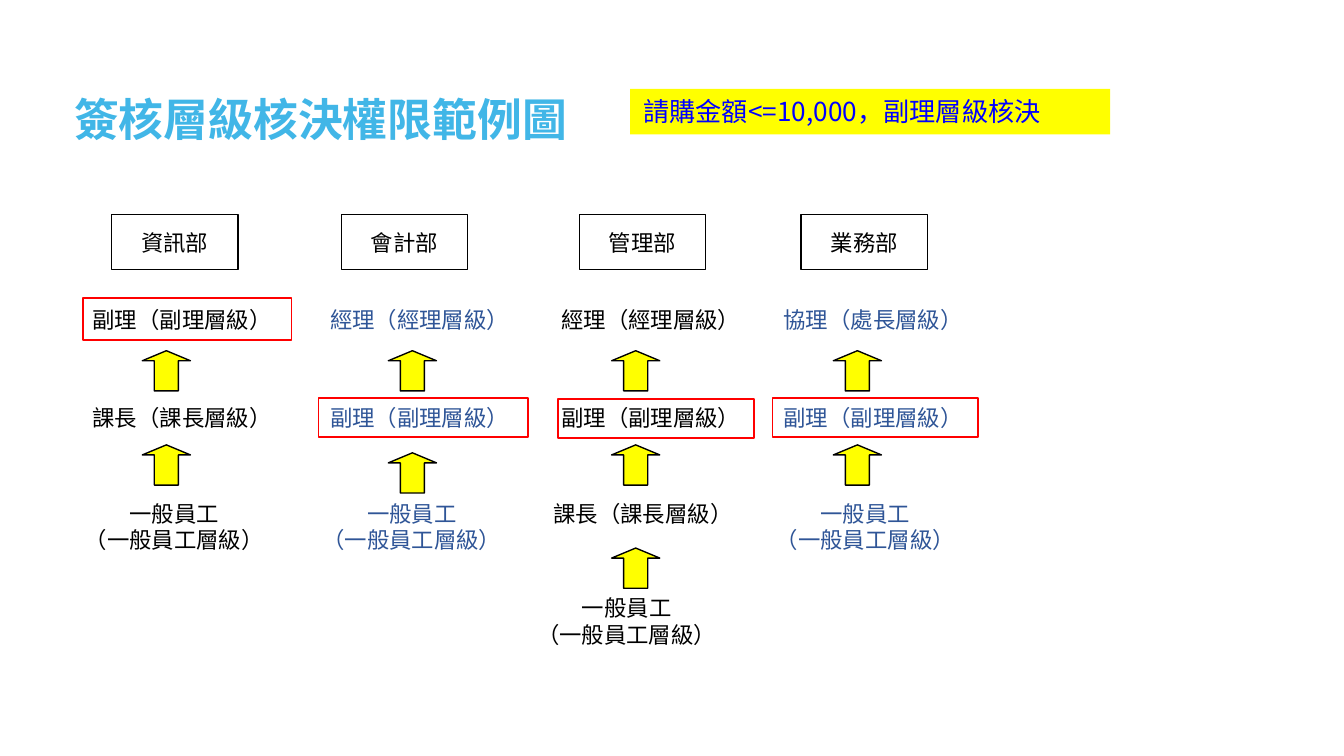
from pptx import Presentation
from pptx import util as u
from pptx.dml.color import RGBColor
from pptx.enum import shapes, text

COLORS = {"title": "41B6E7", "yellow": "FFFF00", "note": "0000FF",
          "black": "000000", "blue": "2F5597", "red": "FF0000"}
CJK = "Noto Sans CJK SC"
CENTER = text.PP_ALIGN.CENTER

deck = Presentation()
deck.slide_width, deck.slide_height = u.Cm(25.4), u.Cm(14.29)
slide = deck.slides.add_slide(deck.slide_layouts[6])


def add_part(kind, left, top, width, height, fill=None, line=None, weight=0.75):
    part = slide.shapes.add_shape(kind, u.Cm(left), u.Cm(top), u.Cm(width), u.Cm(height))
    part.shadow.inherit = False
    if fill:
        part.fill.solid()
        part.fill.fore_color.rgb = RGBColor.from_string(COLORS[fill])
    else:
        part.fill.background()
    if line:
        part.line.color.rgb = RGBColor.from_string(COLORS[line])
        part.line.width = u.Pt(weight)
    else:
        part.line.fill.background()
    return part


def write(part, lines, color, size=12, font=CJK, bold=False, align=text.PP_ALIGN.LEFT,
          anchor=text.MSO_ANCHOR.TOP, wrap=False):
    frame = part.text_frame
    frame.word_wrap = wrap
    frame.vertical_anchor = anchor
    for number, line in enumerate(lines):
        paragraph = frame.add_paragraph() if number else frame.paragraphs[0]
        paragraph.alignment = align
        run = paragraph.add_run()
        run.text = line
        run.font.size = u.Pt(size)
        run.font.name = font
        run.font.bold = bold
        run.font.color.rgb = RGBColor.from_string(COLORS[color])


RECT = shapes.MSO_SHAPE.RECTANGLE
MIDDLE = text.MSO_ANCHOR.MIDDLE

title = slide.shapes.add_textbox(u.Cm(1.12), u.Cm(1.5), u.Cm(23.24), u.Cm(1.5))
title.text_frame.margin_left, title.text_frame.margin_right = u.Cm(0.28), u.Cm(0.2)
title.text_frame.margin_top = title.text_frame.margin_bottom = u.Cm(0.1)
write(title, ["簽核層級核決權限範例圖"], "title", 24, "Arial", True, anchor=MIDDLE, wrap=True)

approval_rule = add_part(RECT, 11.91, 1.68, 9.07, 0.86, fill="yellow")
write(approval_rule, ["請購金額<=10,000，副理層級核決"], "note", 14, wrap=True)

staff = ["一般員工", "（一般員工層級）"]
manager = ["經理（經理層級）"]
deputy = ["副理（副理層級）"]
section_chief = ["課長（課長層級）"]
director = ["協理（處長層級）"]

departments = [
    ("資訊部", 2.11, 1.5, 2.69, "black", [deputy, section_chief, staff], (1.57, 5.64, 3.94, 0.79)),
    ("會計部", 6.45, 5.99, 7.34, "blue", [manager, deputy, staff], (6.02, 7.52, 3.96, 0.74)),
    ("管理部", 10.95, 10.36, 11.56, "black", [manager, deputy, section_chief, staff],
     (10.54, 7.54, 3.71, 0.74)),
    ("業務部", 15.14, 14.56, 15.75, "blue", [director, deputy, staff], (14.6, 7.52, 3.89, 0.74)),
]
level_tops = [5.66, 7.52, 9.32, 11.1]
level_shifts = [0, 0, -0.15, -0.46]
arrow_tops = [6.63, 8.41, 10.36]

for name, name_left, level_left, arrow_left, color, levels, approver in departments:
    department = add_part(RECT, name_left, 4.06, 2.39, 1.04, line="black")
    write(department, [name], "black", align=CENTER, anchor=MIDDLE)

    for level, top, shift in zip(levels, level_tops, level_shifts):
        height = 1.27 if level is staff else 0.76
        role = slide.shapes.add_textbox(u.Cm(level_left + shift), u.Cm(top), u.Cm(3.89), u.Cm(height))
        write(role, level, color, align=CENTER if level is staff else text.PP_ALIGN.LEFT)

    for step, top in enumerate(arrow_tops[:len(levels) - 1]):
        if name == "會計部" and step == 1:
            top += 0.15
        arrow = add_part(shapes.MSO_SHAPE.UP_ARROW, arrow_left, top, 0.91, 0.76, "yellow", "black")
        arrow.adjustments[1] = 0.25

    add_part(RECT, *approver, line="red", weight=1)

deck.save("out.pptx")
